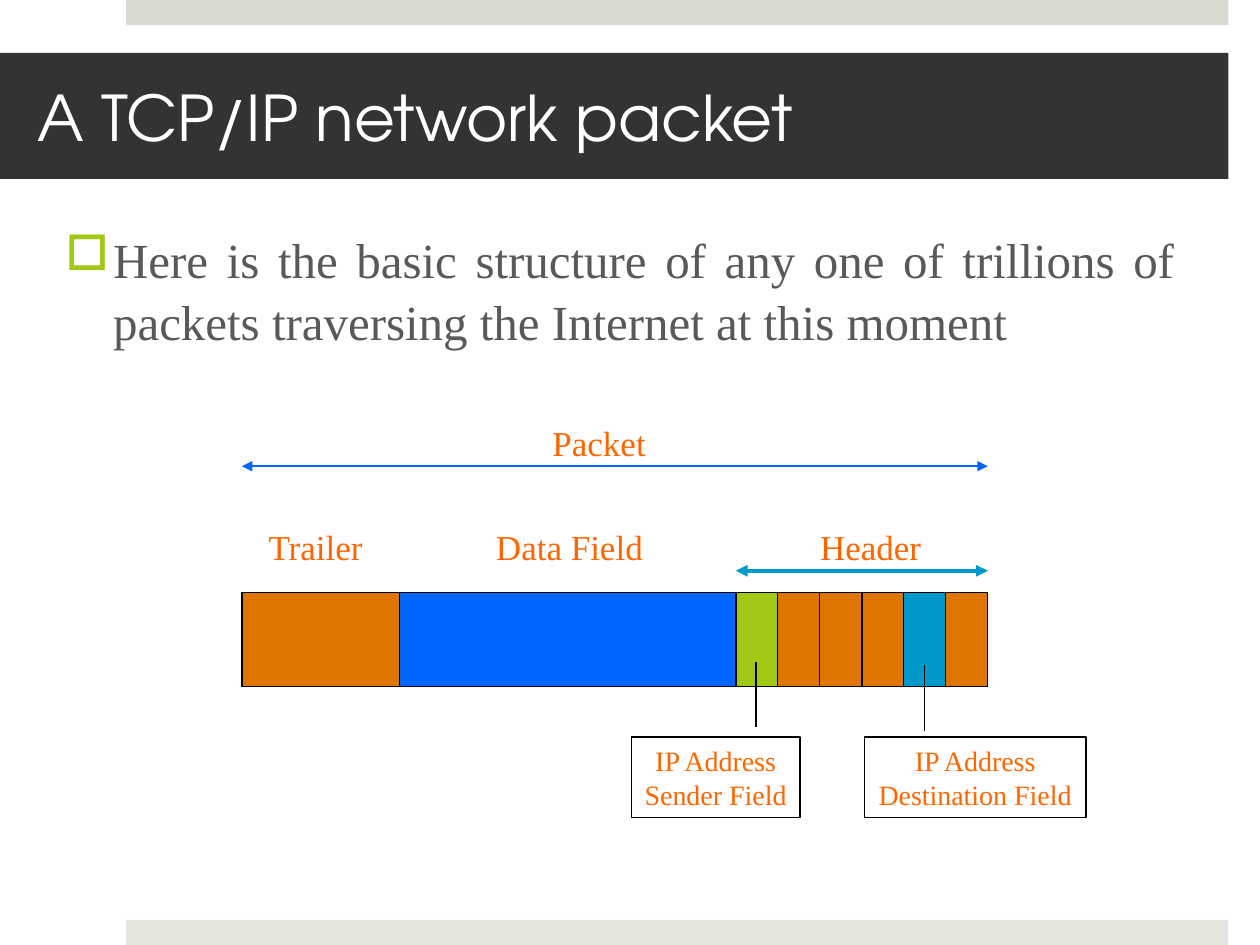
from dataclasses import dataclass

from lxml import etree
from pptx import Presentation
from pptx.dml.color import RGBColor
from pptx.enum import shapes, text
from pptx.oxml import ns
from pptx.util import Inches, Pt


@dataclass(frozen=True)
class Theme:
    white: str = "FFFFFF"
    black: str = "000000"
    dark: str = "333333"
    body: str = "595959"
    top_bar: str = "D6D9CD"
    bottom_bar: str = "E4E6DE"
    green: str = "A2C816"
    orange: str = "E07602"
    blue: str = "0066FF"
    teal: str = "0099CC"
    label: str = "FF6600"
    title_font: str = "TeX Gyre Adventor"
    text_font: str = "Times New Roman"
    title_size: int = 36
    body_size: int = 28
    label_size: int = 20
    callout_size: int = 16


THEME = Theme()


def rgb(value):
    return RGBColor.from_string(value)


def format_paragraph(paragraph, font_name, size, color, alignment):
    paragraph.alignment = alignment
    for run in paragraph.runs:
        run.font.name = font_name
        run.font.size = Pt(size)
        run.font.color.rgb = rgb(color)


def add_rectangle(slide, left, top, width, height, fill=None, line=None):
    shape = slide.shapes.add_shape(
        shapes.MSO_SHAPE.RECTANGLE,
        Inches(left), Inches(top), Inches(width), Inches(height))
    shape.shadow.inherit = False
    if fill:
        shape.fill.solid()
        shape.fill.fore_color.rgb = rgb(fill)
    else:
        shape.fill.background()
    if line:
        shape.line.color.rgb = rgb(line)
        shape.line.width = Pt(0.75)
    else:
        shape.line.fill.background()
    return shape


def add_line(slide, start, end, color, width, arrow_ends=()):
    connector = slide.shapes.add_connector(
        shapes.MSO_CONNECTOR.STRAIGHT,
        *(Inches(value) for value in (*start, *end)))
    connector.line.color.rgb = rgb(color)
    connector.line.width = Pt(width)
    properties = connector.line._get_or_add_ln()
    for arrow_end in arrow_ends:
        etree.SubElement(properties, ns.qn(f"a:{arrow_end}"), type="triangle")
    etree.SubElement(connector._element.spPr, ns.qn("a:effectLst"))


def write_centered(shape, words, size):
    frame = shape.text_frame
    frame.word_wrap = False
    frame.auto_size = text.MSO_AUTO_SIZE.SHAPE_TO_FIT_TEXT
    frame.text = words
    for paragraph in frame.paragraphs:
        format_paragraph(paragraph, THEME.text_font, size, THEME.label,
                         text.PP_ALIGN.CENTER)


def add_label(slide, words, left, top, width, height=0.44):
    box = slide.shapes.add_textbox(
        Inches(left), Inches(top), Inches(width), Inches(height))
    write_centered(box, words, THEME.label_size)


def add_bars(slide, left, width, height, slide_height):
    add_rectangle(slide, left, 0, width, height, THEME.top_bar)
    add_rectangle(slide, left, slide_height - height, width, height,
                  THEME.bottom_bar)


def add_title(slide, left, top, width, height):
    title = slide.shapes.title
    title.left, title.top = Inches(left), Inches(top)
    title.width, title.height = Inches(width), Inches(height)
    title.fill.solid()
    title.fill.fore_color.rgb = rgb(THEME.dark)
    frame = title.text_frame
    frame.text = "A TCP/IP network packet"
    frame.word_wrap = True
    frame.auto_size = text.MSO_AUTO_SIZE.NONE
    frame.vertical_anchor = text.MSO_ANCHOR.MIDDLE
    frame.margin_left = frame.margin_right = Inches(0.3)
    format_paragraph(frame.paragraphs[0], THEME.title_font, THEME.title_size,
                     THEME.white, text.PP_ALIGN.LEFT)


def add_body(slide, left, top, width, height):
    box = slide.shapes.add_textbox(
        Inches(left), Inches(top), Inches(width), Inches(height))
    frame = box.text_frame
    frame.word_wrap = True
    frame.text = ("Here is the basic structure of any one of trillions of "
                  "packets traversing the Internet at this moment")
    paragraph = frame.paragraphs[0]
    paragraph.line_spacing = 1.05
    properties = paragraph._p.get_or_add_pPr()
    indent = Inches(0.38)
    properties.set("marL", str(indent))
    properties.set("indent", str(-indent))
    bullet_color = etree.SubElement(properties, ns.qn("a:buClr"))
    etree.SubElement(bullet_color, ns.qn("a:srgbClr"), val=THEME.green)
    etree.SubElement(properties, ns.qn("a:buChar"), char="□")
    format_paragraph(paragraph, THEME.text_font, THEME.body_size, THEME.body,
                     text.PP_ALIGN.JUSTIFY)


def add_callout(slide, words, left, top, width, line_x, line_top):
    box = add_rectangle(slide, left, top, width, 0.64, line=THEME.black)
    write_centered(box, words, THEME.callout_size)
    add_line(slide, (line_x, line_top), (line_x, line_top + 0.52),
             THEME.black, 0.75)


def add_packet(slide, left, top, width, height):
    right = left + width
    trailer_width, data_width = 1.25, 2.67
    header_left = left + trailer_width + data_width
    header_colors = (THEME.green, THEME.orange, THEME.orange, THEME.orange,
                     THEME.teal, THEME.orange)
    field_width = (right - header_left) / len(header_colors)
    fields = [(trailer_width, THEME.orange), (data_width, THEME.blue)]
    fields += [(field_width, color) for color in header_colors]

    field_left = left
    for size, color in fields:
        add_rectangle(slide, field_left, top, size, height, color, THEME.black)
        field_left += size

    packet_y, header_y = top - 1, top - 0.17
    add_line(slide, (left, packet_y), (right, packet_y), THEME.blue, 1,
             ("headEnd", "tailEnd"))
    overlap = 1.42
    for start, end in ((right - overlap, right),
                       (header_left + overlap, header_left)):
        add_line(slide, (start, header_y), (end, header_y), THEME.teal, 2.25,
                 ("tailEnd",))

    label_top = top - 0.58
    add_label(slide, "Packet", 4.28, top - 1.4, 0.95)
    add_label(slide, "Trailer", 2.01, label_top, 0.99)
    add_label(slide, "Data Field", 3.83, label_top, 1.38)
    add_label(slide, "Header", 6.4, label_top, 1.02)

    callout_top = top + 1.15
    add_callout(slide, "IP Address\nSender Field", 5.01, callout_top, 1.34,
                6, 5.25)
    add_callout(slide, "IP Address\nDestination Field", 6.86, callout_top,
                1.76, 7.34, 5.28)


def main():
    presentation = Presentation()
    presentation.slide_width = Inches(10)
    presentation.slide_height = Inches(7.5)
    slide = presentation.slides.add_slide(presentation.slide_layouts[5])
    add_bars(slide, 1, 8.75, 0.2, 7.5)
    add_title(slide, 0, 0.42, 9.75, 1)
    add_body(slide, 0.42, 1.75, 9, 2)
    add_packet(slide, 1.92, 4.7, 5.92, 0.75)
    presentation.save("out.pptx")


if __name__ == "__main__":
    main()
